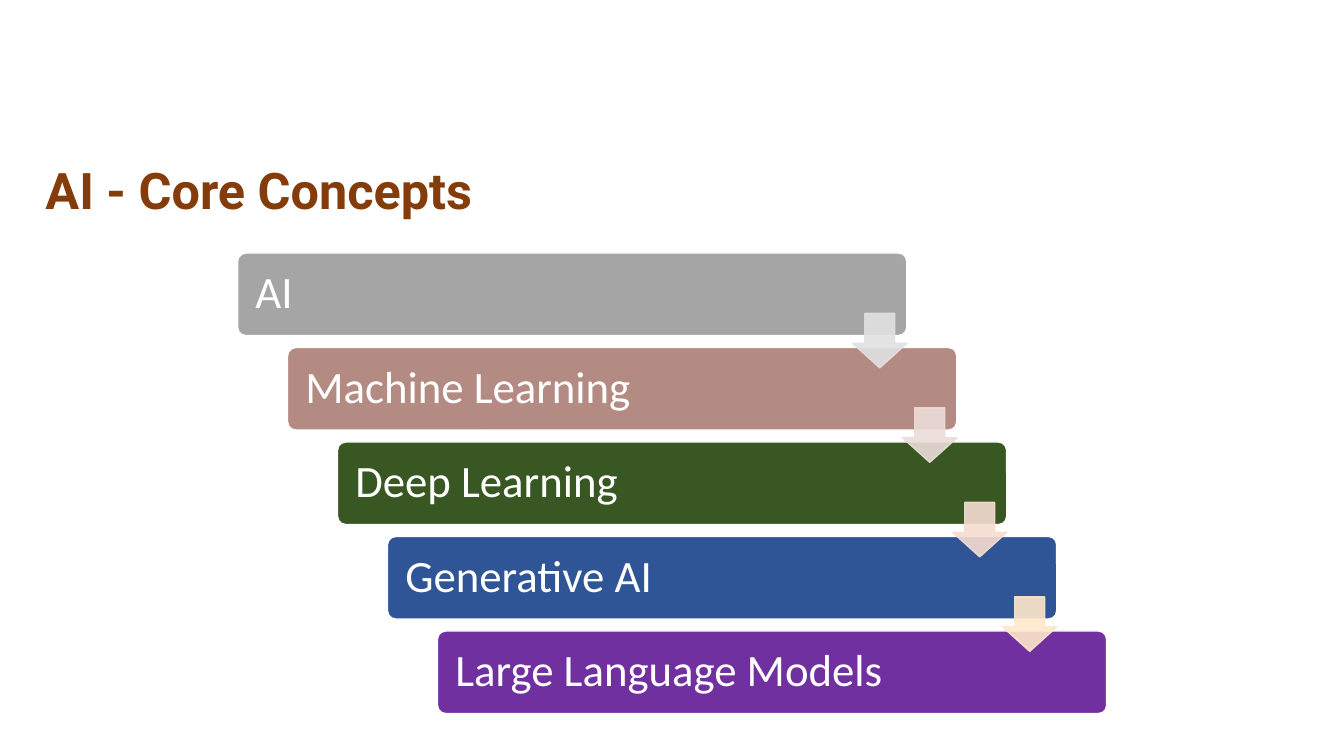
from pptx import Presentation
from pptx.dml.color import RGBColor
from pptx.enum.shapes import MSO_SHAPE
from pptx.enum.text import MSO_ANCHOR, PP_ALIGN
from pptx.oxml.ns import qn
from pptx.util import Pt
from lxml.etree import SubElement

CONCEPTS = [
    ("AI", "A5A5A5"),
    ("Machine Learning", "B48B83"),
    ("Deep Learning", "385723"),
    ("Generative AI", "2F5597"),
    ("Large Language Models", "7030A0"),
]
ARROW_COLORS = ["E1E1E1", "ECDDD9", "F6DDD1", "FFE8CB"]
STEP_X, STEP_Y = 35.7, 67.5


def color(hex_string):
    return RGBColor.from_string(hex_string)


def format_text(text_frame, font_name, size, hex_string, bold=False):
    text_frame.word_wrap = True
    text_frame.vertical_anchor = MSO_ANCHOR.MIDDLE
    paragraph = text_frame.paragraphs[0]
    paragraph.alignment = PP_ALIGN.LEFT
    paragraph.line_spacing = 0.9
    font = paragraph.runs[0].font
    font.name, font.size, font.bold = font_name, Pt(size), bold
    font.color.rgb = color(hex_string)


def add_title(slide, text):
    title = slide.shapes.title
    title.left, title.top, title.width, title.height = Pt(25.2), Pt(108), Pt(921.6), Pt(60.5)
    title.text_frame.text = text
    format_text(title.text_frame, "Roboto", 36, "843C0B", bold=True)


def add_filled_shape(slide, kind, box, adjustments, fill, line):
    shape = slide.shapes.add_shape(kind, *(Pt(length) for length in box))
    shape.shadow.inherit = False
    for index, value in enumerate(adjustments):
        shape.adjustments[index] = value
    shape.fill.solid()
    shape.fill.fore_color.rgb = color(fill)
    shape.line.color.rgb = color(line)
    shape.line.width = Pt(1)
    return shape


def add_concept_bar(slide, index, text, fill):
    box = (169.7 + index * STEP_X, 180.7 + index * STEP_Y, 478, 59)
    bar = add_filled_shape(slide, MSO_SHAPE.ROUNDED_RECTANGLE, box, [0.1], fill, "FFFFFF")
    bar.text_frame.text = text
    bar.text_frame.margin_left = bar.text_frame.margin_right = Pt(11)
    format_text(bar.text_frame, "Calibri", 32, "FFFFFF")


def add_step_arrow(slide, index, fill):
    box = (609 + index * STEP_X, 223.9 + index * STEP_Y, 38.9, 38.9)
    arrow = add_filled_shape(slide, MSO_SHAPE.DOWN_ARROW, box, [0.55, 0.45], fill, fill)
    # 90% opacity for fill and outline
    for element in arrow.element.spPr.iter(qn("a:srgbClr")):
        SubElement(element, qn("a:alpha")).set("val", "90000")


def main():
    presentation = Presentation()
    presentation.slide_width, presentation.slide_height = Pt(960), Pt(540)
    slide = presentation.slides.add_slide(presentation.slide_layouts[5])
    add_title(slide, "AI - Core Concepts")

    # Staircase of concepts, then the arrows on top
    for index, (text, fill) in enumerate(CONCEPTS):
        add_concept_bar(slide, index, text, fill)
    for index, fill in enumerate(ARROW_COLORS):
        add_step_arrow(slide, index, fill)

    presentation.save("out.pptx")


if __name__ == "__main__":
    main()
